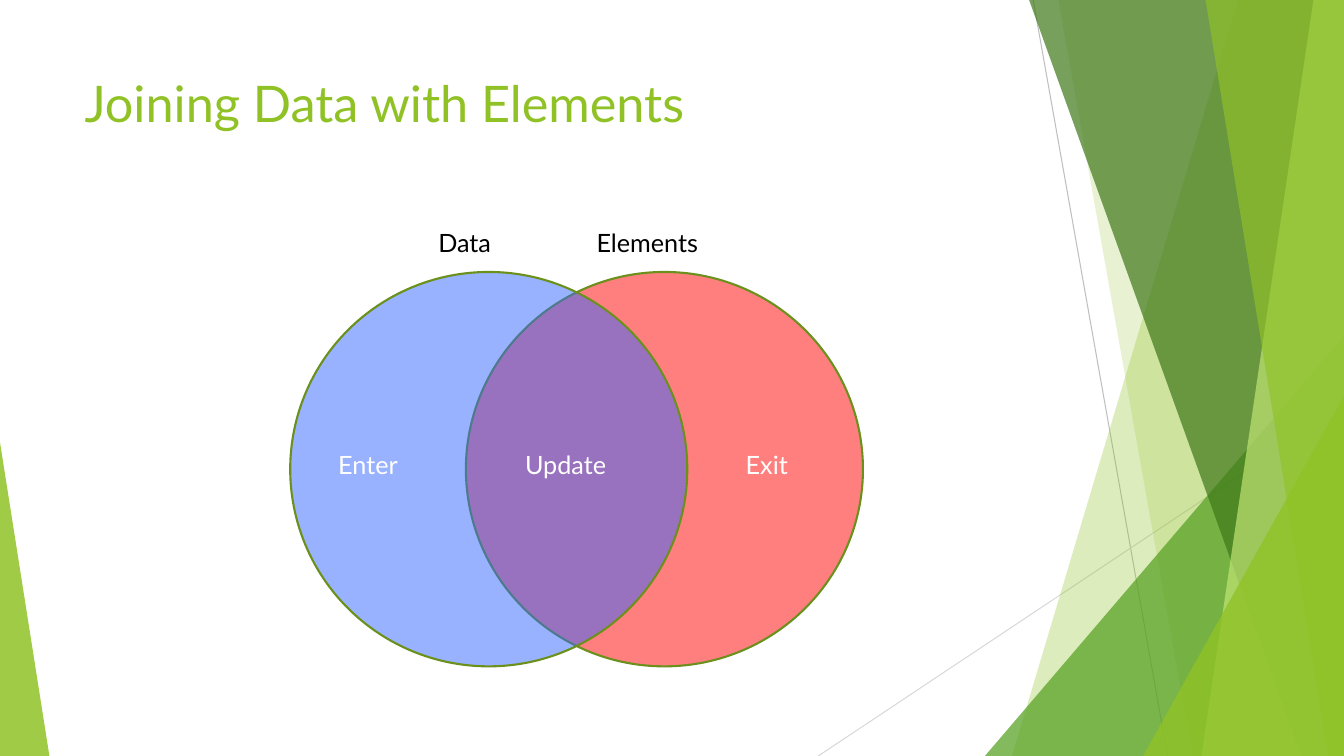
"""Build a slide with a Venn diagram on joining data with elements."""
import lxml.etree
import pptx
import pptx.dml.color
import pptx.enum.shapes
import pptx.enum.text
import pptx.oxml.ns
import pptx.util

Pt = pptx.util.Pt
qn = pptx.oxml.ns.qn
RGB = pptx.dml.color.RGBColor.from_string
KIND = pptx.enum.shapes.MSO_SHAPE
COLORS = {
    "lime": "90C226", "green": "54A021", "forest": "3F7819", "pale": "C0E474",
    "edge": "6B901C", "red": "FF0000", "blue": "3366FF",
    "gray": "BFBFBF", "silver": "D9D9D9", "white": "FFFFFF", "black": "000000",
}
WIDE, HIGH = 960, 540

deck = pptx.Presentation()
deck.slide_width, deck.slide_height = Pt(WIDE), Pt(HIGH)
slide = deck.slides.add_slide(deck.slide_layouts[6])
shapes = slide.shapes


def paint(shape, color, alpha):
    """Give a shape a see-through fill, no line and no shadow."""
    shape.shadow.inherit = False
    shape.fill.solid()
    shape.fill.fore_color.rgb = RGB(COLORS[color])
    tint = shape._element.spPr.find(qn("a:solidFill"))[0]
    lxml.etree.SubElement(tint, qn("a:alpha"), val=str(alpha * 1000))
    shape.line.fill.background()


def write(text, box, size, color, wrap=True):
    """Add a text box with one run."""
    frame = shapes.add_textbox(*map(Pt, box)).text_frame
    frame.word_wrap = wrap
    frame.vertical_anchor = pptx.enum.text.MSO_ANCHOR.TOP
    run = frame.paragraphs[0].add_run()
    run.text = text
    run.font.name = "Lato"
    run.font.size = Pt(size)
    run.font.color.rgb = RGB(COLORS[color])


rays = [((738, 0, 834, HIGH), "gray"), ((WIDE, 290, 584.5, HIGH), "silver")]
for ends, color in rays:
    ray = shapes.add_connector(
        pptx.enum.shapes.MSO_CONNECTOR.STRAIGHT, *map(Pt, ends))
    ray.line.color.rgb = RGB(COLORS[color])
    ray.line.width = Pt(0.75)
    lxml.etree.SubElement(ray._element.spPr, qn("a:effectLst"))

# Bands hold the top and bottom x of their left edge; wedges hold left, top, width and tip.
facets = [
    ("band", (884.2, 722.9), "lime", 30),
    ("band", (756, 851.8), "lime", 20),
    ("wedge", (703.5, 240, 256.5, 1), "green", 72),
    ("band", (735.1, 929.5), "forest", 70),
    ("band", (938.2, 858.2), "pale", 70),
    ("band", (861.1, 949), "lime", 65),
    ("wedge", (816.5, 283, 143.5, 1), "lime", 80),
    ("wedge", (0, 316, 35.3, 0), "lime", 85),
]
for kind, place, color, alpha in facets:
    if kind == "band":
        high, low = place
        pen = shapes.build_freeform(Pt(high), Pt(0))
        corners = [(WIDE, 0), (WIDE, HIGH), (low, HIGH)]
        pen.add_line_segments([(Pt(x), Pt(y)) for x, y in corners], close=True)
        facet = pen.convert_to_shape()
    else:
        left, top, width, tip = place
        facet = shapes.add_shape(KIND.ISOSCELES_TRIANGLE, Pt(left), Pt(top),
                                 Pt(width), Pt(HIGH - top))
        facet.adjustments[0] = tip
    paint(facet, color, alpha)

write("Joining Data with Elements", (53.3, 48, 677, 104), 36, "lime")

for left, color in [(332.8, "red"), (207.3, "blue")]:
    disc = shapes.add_shape(KIND.OVAL, Pt(left), Pt(194.3), Pt(283.6), Pt(281.7))
    paint(disc, color, 50)
    disc.line.color.rgb = RGB(COLORS["edge"])
    disc.line.width = Pt(1.5)

for text, left, width in [("Enter", 234.5, 71), ("Update", 368, 96.5), ("Exit", 525.6, 56)]:
    write(text, (left, 317.5, width, 35), 18, "white")
for text, left, width in [("Data", 306, 70), ("Elements", 419, 110)]:
    write(text, (left, 158.5, width, 35), 18, "black", wrap=False)

deck.save("out.pptx")
